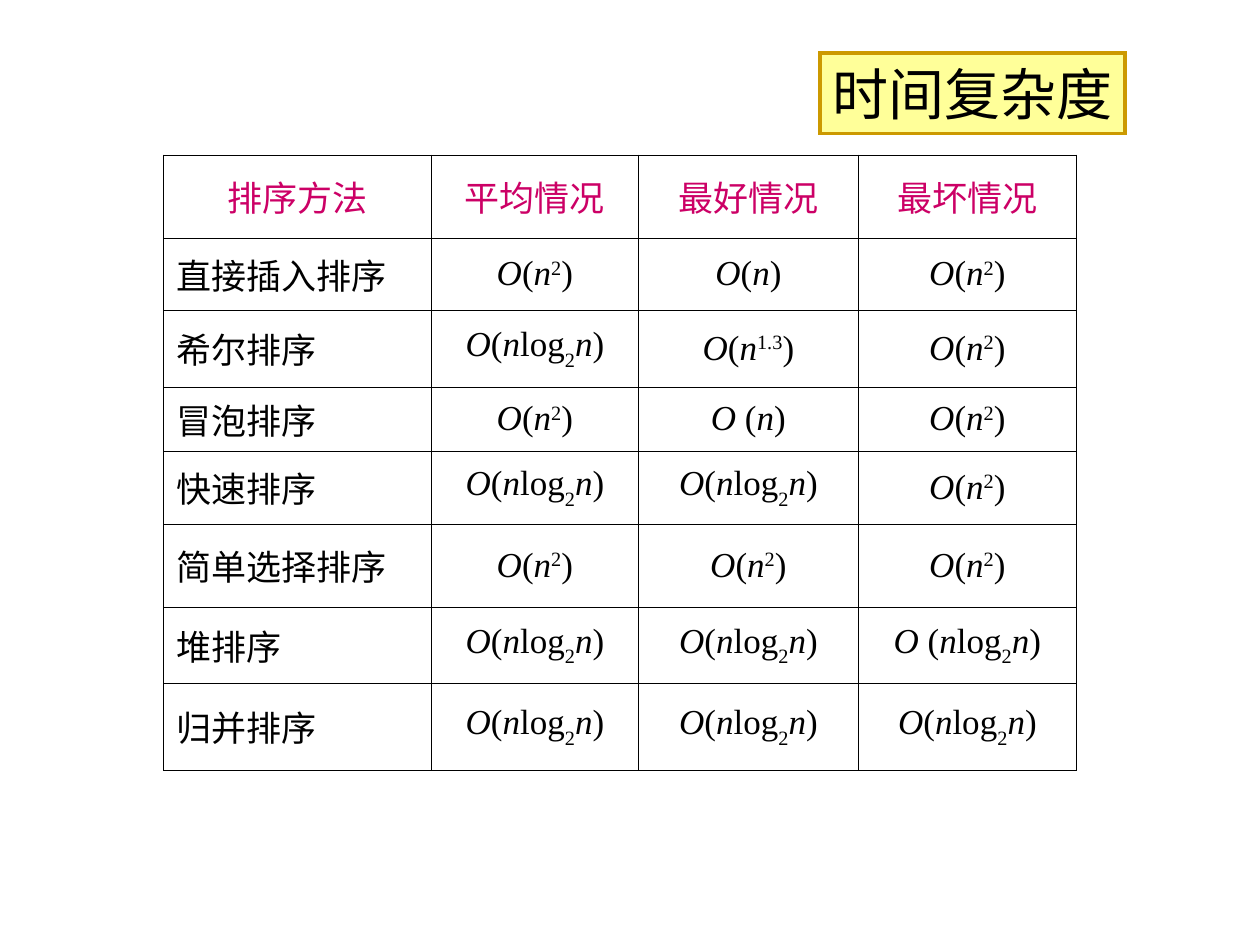
from typing import NamedTuple

from pptx import Presentation
from pptx.dml.color import RGBColor
from pptx.enum.text import MSO_ANCHOR, MSO_AUTO_SIZE, PP_ALIGN
from pptx.oxml import parse_xml
from pptx.oxml.ns import nsdecls
from pptx.util import Pt

MIDDLE = MSO_ANCHOR.MIDDLE
FIXED_SIZE = MSO_AUTO_SIZE.NONE
LEFT, CENTER = PP_ALIGN.LEFT, PP_ALIGN.CENTER
TITLE_ONLY = 5

BLACK, WHITE, MAGENTA = "000000", "FFFFFF", "CC0066"
PALE_YELLOW, GOLD = "FFFF99", "CC9900"
BORDER_WIDTH = 0.45


class Piece(NamedTuple):
    text: str
    italic: bool = False
    baseline: int = 0


class Method(NamedTuple):
    name: str
    average: list[Piece]
    best: list[Piece]
    worst: list[Piece]
    height: float


def big_o(*argument: Piece, symbol: str = "O") -> list[Piece]:
    return [Piece(symbol, True), Piece("("), *argument, Piece(")")]


def power(exponent: str) -> list[Piece]:
    return big_o(N, Piece(exponent, baseline=30000))


N = Piece("n", True)
N_LOG_N = (N, Piece("log"), Piece("2", baseline=-30000), N)
LINEAR, SQUARE, LOG = big_o(N), power("2"), big_o(*N_LOG_N)

HEADINGS = ("排序方法", "平均情况", "最好情况", "最坏情况")
HEADING_HEIGHT = 47.5
COLUMN_WIDTHS = (153.1, 118.3, 125.7, 124.6)
METHODS = (
    Method("直接插入排序", SQUARE, LINEAR, SQUARE, 41.1),
    Method("希尔排序", LOG, power("1.3"), SQUARE, 44),
    Method("冒泡排序", SQUARE, big_o(N, symbol="O "), SQUARE, 36.6),
    Method("快速排序", LOG, LOG, SQUARE, 41.7),
    Method("简单选择排序", SQUARE, SQUARE, SQUARE, 47.4),
    Method("堆排序", LOG, LOG, big_o(*N_LOG_N, symbol="O "), 43.5),
    Method("归并排序", LOG, LOG, LOG, 49.7),
)


def rgb(value: str) -> RGBColor:
    return RGBColor.from_string(value)


def add_borders(cell) -> None:
    properties = cell._tc.get_or_add_tcPr()
    for index, side in enumerate(("lnL", "lnR", "lnT", "lnB")):
        properties.insert(index, parse_xml(
            f'<a:{side} {nsdecls("a")} w="{Pt(BORDER_WIDTH)}"><a:solidFill>'
            f'<a:srgbClr val="{BLACK}"/></a:solidFill></a:{side}>'))


def fill_cell(cell, pieces: list[Piece], align: PP_ALIGN, color: str = BLACK) -> None:
    cell.fill.solid()
    cell.fill.fore_color.rgb = rgb(WHITE)
    cell.vertical_anchor = MIDDLE
    add_borders(cell)
    paragraph = cell.text_frame.paragraphs[0]
    paragraph.alignment = align
    for piece in pieces:
        run = paragraph.add_run()
        run.text = piece.text
        font = run.font
        font.name, font.size, font.bold = "Times New Roman", Pt(20), False
        font.italic = piece.italic
        font.color.rgb = rgb(color)
        if piece.baseline:
            run._r.get_or_add_rPr().set("baseline", str(piece.baseline))


def add_title(slide) -> None:
    title = slide.shapes.title
    title.left, title.top = Pt(468.6), Pt(30.3)
    title.width, title.height = Pt(174.3), Pt(46)
    title.fill.solid()
    title.fill.fore_color.rgb = rgb(PALE_YELLOW)
    title.line.color.rgb = rgb(GOLD)
    title.line.width = Pt(2)
    title.line._get_or_add_ln().append(
        parse_xml(f'<a:miter {nsdecls("a")} lim="800000"/>'))
    frame = title.text_frame
    frame.text = "时间复杂度"
    frame.word_wrap = False
    frame.auto_size = FIXED_SIZE
    frame.vertical_anchor = MIDDLE
    frame.margin_left = frame.margin_right = Pt(2)
    paragraph = frame.paragraphs[0]
    paragraph.alignment = CENTER
    paragraph.font.name, paragraph.font.size = "Arial", Pt(32)
    paragraph.font.color.rgb = rgb(BLACK)


def add_complexity_table(slide) -> None:
    heights = [HEADING_HEIGHT] + [method.height for method in METHODS]
    table = slide.shapes.add_table(
        len(heights), len(COLUMN_WIDTHS), Pt(93.4), Pt(88.6),
        Pt(sum(COLUMN_WIDTHS)), Pt(sum(heights))).table
    for column, width in zip(table.columns, COLUMN_WIDTHS):
        column.width = Pt(width)
    for row, height in zip(table.rows, heights):
        row.height = Pt(height)
    for column, heading in enumerate(HEADINGS):
        fill_cell(table.cell(0, column), [Piece(heading)], CENTER, MAGENTA)
    for row, method in enumerate(METHODS, start=1):
        fill_cell(table.cell(row, 0), [Piece(method.name)], LEFT)
        cases = (method.average, method.best, method.worst)
        for column, complexity in enumerate(cases, start=1):
            fill_cell(table.cell(row, column), complexity, CENTER)


def main() -> None:
    deck = Presentation()
    deck.slide_width, deck.slide_height = Pt(720), Pt(540)
    slide = deck.slides.add_slide(deck.slide_layouts[TITLE_ONLY])
    add_title(slide)
    add_complexity_table(slide)
    deck.save("out.pptx")


if __name__ == "__main__":
    main()
